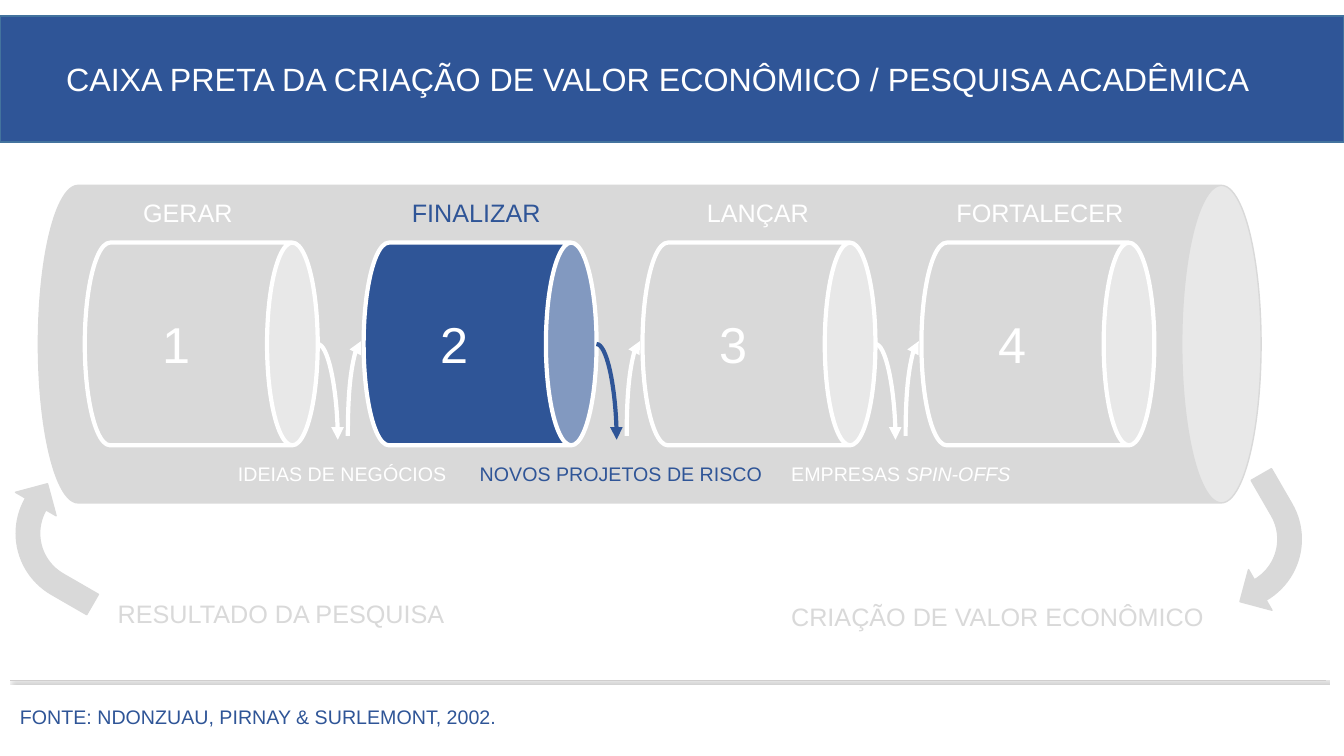
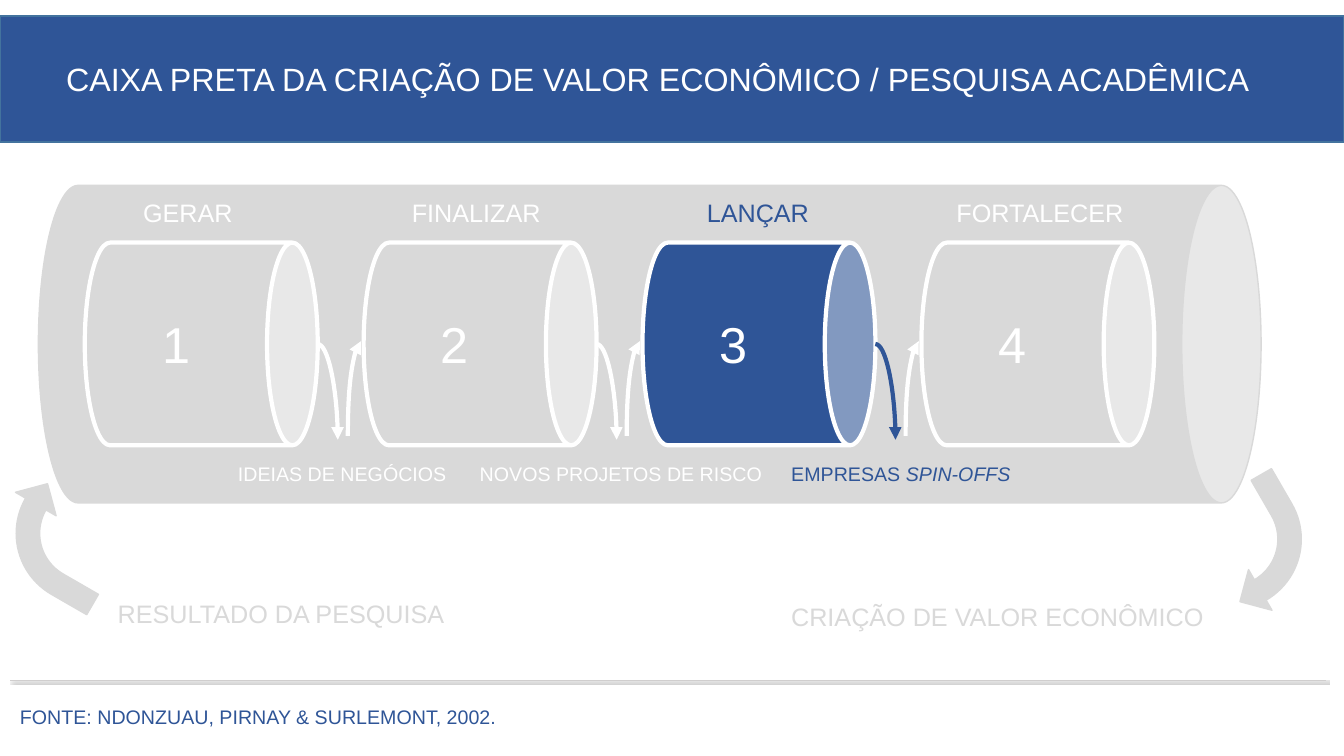
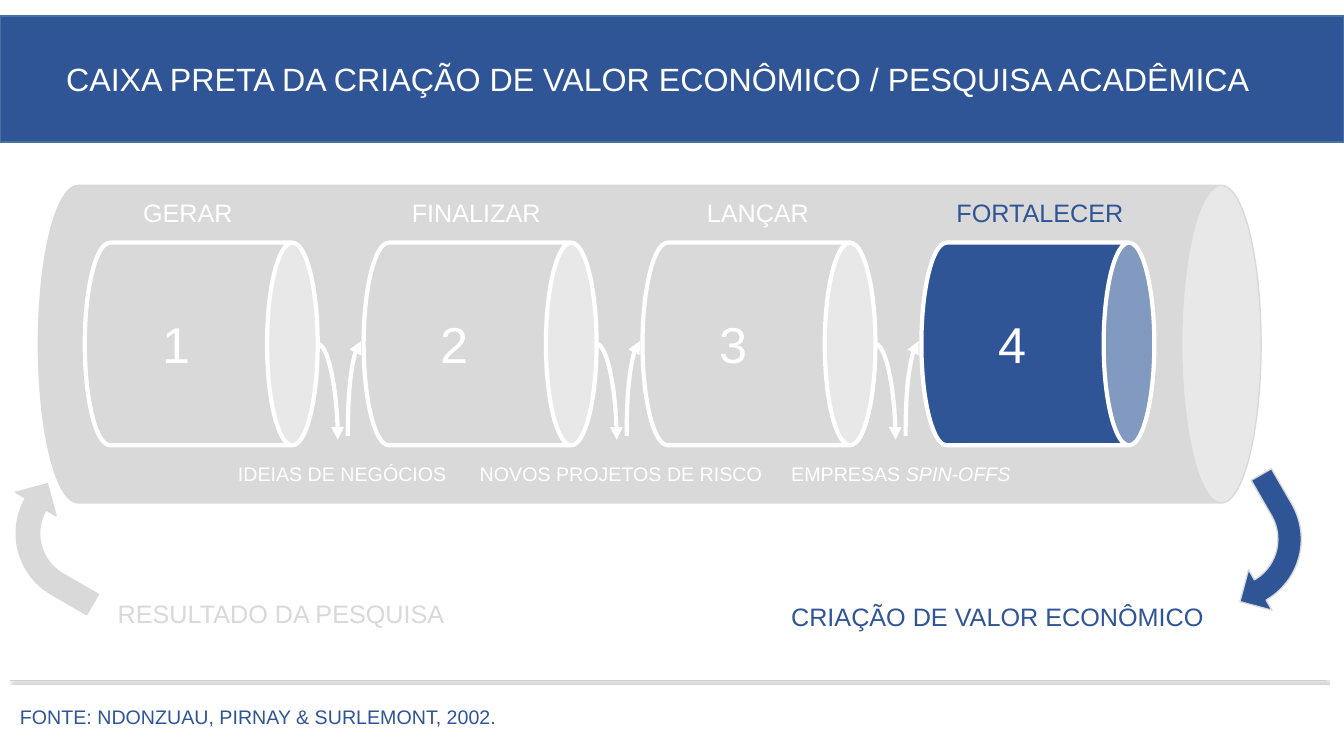
from lxml.etree import SubElement
from pptx import Presentation
from pptx.dml.color import RGBColor
from pptx.enum.shapes import MSO_CONNECTOR as CONN, MSO_SHAPE as SHAPE
from pptx.enum.text import MSO_ANCHOR, MSO_AUTO_SIZE as FIT, PP_ALIGN
from pptx.oxml.ns import qn
from pptx.util import Pt

BLUE, GRAY, WHITE = "2F5597", "D9D9D9", "FFFFFF"
BAND_EDGE, RULE, SHADOW = "43739E", "D0CECE", "595959"
FONT = "Arial"
TITLE = "CAIXA PRETA DA CRIAÇÃO DE VALOR ECONÔMICO / PESQUISA ACADÊMICA"
SOURCE = "FONTE: NDONZUAU, PIRNAY & SURLEMONT, 2002."
STAGE_W, STAGE_H, PITCH = 166.4, 144.8, 199.2
STAGES = [("GERAR", 34.6, 79), ("FINALIZAR", 27.4, 107), ("LANÇAR", 38.9, 89), ("FORTALECER", 18, 135)]
RESULTS = [("IDEIAS DE NEGÓCIOS", "", -64, 165), ("NOVOS PROJETOS DE RISCO", "", -90.5, 218),
           ("EMPRESAS ", "SPIN-OFFS", -67.2, 172)]


def rgb(color):
    """Turn a hex string into a colour."""
    return RGBColor.from_string(color)


def set_font(p, size, color):
    """Set the font of a whole paragraph."""
    p.font.name, p.font.size = FONT, Pt(size)
    p.font.color.rgb = rgb(color)


def paint(sp, fill, edge, width):
    """Give a shape a plain fill and outline."""
    sp.shadow.inherit = False
    sp.fill.solid()
    sp.fill.fore_color.rgb = rgb(fill)
    sp.line.color.rgb = rgb(edge)
    sp.line.width = Pt(width)


def label(shapes, x, y, w, h, text, size, color, italic=""):
    """Place a one-line text, with an optional italic ending."""
    tf = shapes.add_textbox(Pt(x), Pt(y), Pt(w), Pt(h)).text_frame
    tf.word_wrap, tf.auto_size = False, FIT.SHAPE_TO_FIT_TEXT
    p = tf.paragraphs[0]
    p.add_run().text = text
    if italic:
        r = p.add_run()
        r.text, r.font.italic = italic, True
    set_font(p, size, color)


def connector(shapes, kind, x1, y1, x2, y2, color, width):
    """Draw a connector and return it with its empty effect list."""
    c = shapes.add_connector(kind, Pt(x1), Pt(y1), Pt(x2), Pt(y2))
    c.line.color.rgb = rgb(color)
    c.line.width = Pt(width)
    return c, SubElement(c.element.spPr, qn("a:effectLst"))


def curve(shapes, x1, y1, x2, y2, color, upright=False):
    """Draw a quarter-curve arrow, leaving sideways or upright."""
    if upright:
        cx, cy, a, b = (x1 + x2) / 2, (y1 + y2) / 2, (y1 - y2) / 2, (x2 - x1) / 2
        x1, y1, x2, y2 = cx + a, cy + b, cx - a, cy - b
    c, _ = connector(shapes, CONN.CURVE, x1, y1, x2, y2, color, 3)
    sp_pr = c.element.spPr
    sp_pr.find(qn("a:prstGeom")).set("prst", "curvedConnector2")
    SubElement(sp_pr.find(qn("a:ln")), qn("a:tailEnd"), type="triangle")
    if upright:
        sp_pr.find(qn("a:xfrm")).set("rot", "5400000")


def cylinder(shapes, x, y, w, h, fill, edge, width):
    """Lay a cylinder on its side inside the given box."""
    sp = shapes.add_shape(SHAPE.CAN, Pt(x + (w - h) / 2), Pt(y + (h - w) / 2), Pt(h), Pt(w))
    sp.rotation = 90
    paint(sp, fill, edge, width)


def bent_arrow(shapes, x, y, rotation, fill):
    """Place a bent block arrow."""
    sp = shapes.add_shape(SHAPE.BENT_ARROW, Pt(x), Pt(y), Pt(67), Pt(87.8))
    sp.rotation = rotation
    sp.adjustments[3] = 0.75
    paint(sp, fill, GRAY, 1)


def frame(s):
    """Fill the title band and draw the footer."""
    sp = s.shapes.title
    sp.left, sp.top, sp.width, sp.height = Pt(0), Pt(11.5), Pt(960), Pt(90)
    paint(sp, BLUE, BAND_EDGE, 1)
    tf = sp.text_frame
    tf.text, tf.auto_size = TITLE, FIT.NONE
    tf.vertical_anchor, tf.margin_left = MSO_ANCHOR.MIDDLE, Pt(47.2)
    p = tf.paragraphs[0]
    p.alignment = PP_ALIGN.LEFT
    set_font(p, 23, WHITE)
    _, effects = connector(s.shapes, CONN.STRAIGHT, 7.2, 486, 946.8, 486, RULE, 0.5)
    shadow = SubElement(effects, qn("a:outerShdw"), blurRad=str(Pt(1)), dist=str(Pt(2)), dir="2700000")
    SubElement(SubElement(shadow, qn("a:srgbClr"), val=SHADOW), qn("a:alpha"), val="40000")
    label(s.shapes, 7.2, 499.7, 357, 24.5, SOURCE, 14, BLUE)


def stage(shapes, x, y, number, name, dx, w, active):
    """Draw one numbered cylinder with its name above."""
    group = shapes.add_group_shape().shapes
    cylinder(group, x, y, STAGE_W, STAGE_H, BLUE if active else GRAY, WHITE, 3)
    label(group, x + 48.2, y + 46.6, 34.6, 51, str(number), 36, WHITE)
    label(shapes, x + dx, y - 36, w, 29, name, 18, BLUE if active else WHITE)


def link(shapes, x, y, text, italic, dx, w, active):
    """Draw the arrows after a stage and the result they pass on."""
    color = BLUE if active else WHITE
    middle = y + STAGE_H / 2
    curve(shapes, x, middle, x + 14.4, middle + 68.4, color)
    curve(shapes, x + 21.6, middle + 65.6, x + 31, middle - 2, WHITE, upright=True)
    label(shapes, x + dx, y + 153, w, 24.5, text, 14, color, italic)


def pipeline(shapes, x, y, active):
    """Draw the large cylinder holding the stages and links."""
    cylinder(shapes, x, y, 873.4, 226.8, GRAY, GRAY, 1)
    x, y = x + 33.1, y + 40.9
    for i, item in enumerate(STAGES):
        stage(shapes, x + i * PITCH, y, i + 1, *item, active == i + 1)
    for i, item in enumerate(RESULTS):
        link(shapes, x + STAGE_W + i * PITCH, y, *item, active == i + 1)


def stage_slide(prs, active):
    """Build a slide that highlights one stage."""
    s = prs.slides.add_slide(prs.slide_layouts[5])
    frame(s)
    pipeline(s.shapes, 27.4, 132.4, active)
    output = BLUE if active == len(STAGES) else GRAY
    bent_arrow(s.shapes, 7.2, 344.2, 300, GRAY)
    label(s.shapes, 77, 424.1, 250, 29, "RESULTADO DA PESQUISA", 18, GRAY)
    bent_arrow(s.shapes, 867.6, 345.6, 150, output)
    label(s.shapes, 558, 426.2, 312, 29, "CRIAÇÃO DE VALOR ECONÔMICO", 18, output)


def main():
    """Build and save the presentation."""
    prs = Presentation()
    prs.slide_width, prs.slide_height = Pt(960), Pt(540)
    for active in (2, 3, 4):
        stage_slide(prs, active)
    prs.save("out.pptx")


if __name__ == "__main__":
    main()
